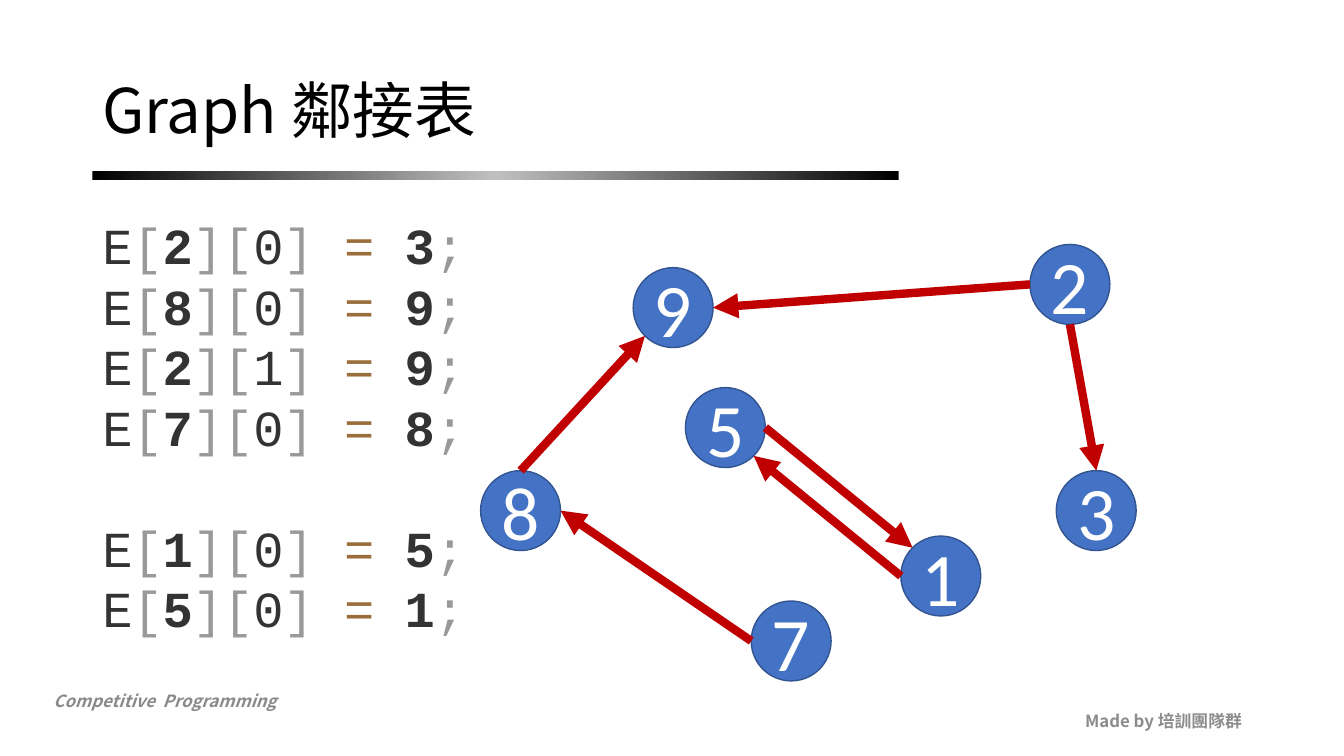
import copy
import math

import lxml.etree
import pptx
import pptx.dml.color
import pptx.enum.shapes
import pptx.enum.text
import pptx.oxml.ns
import pptx.util

Pt = pptx.util.Pt
Align = pptx.enum.text.PP_ALIGN
Anchor = pptx.enum.text.MSO_ANCHOR
qn = pptx.oxml.ns.qn

# Content
TITLE = "Graph 鄰接表"
COURSE = "Competitive  Programming"
CREDIT = "Made by 培訓團隊群"
TEXT_FONT, CODE_FONT, NODE_FONT = "Noto Sans CJK SC", "Courier New", "Calibri"

# Adjacency list entries, grouped: (node, index, neighbour)
ENTRY_GROUPS = [
    [(2, 0, 3), (8, 0, 9), (2, 1, 9), (7, 0, 8)],
    [(1, 0, 5), (5, 0, 1)],
]
CODE_DARK, CODE_GREY, CODE_BROWN = "333333", "999999", "9A6E3A"
CODE_PITCH = 43.2

# Node label: left and top of its circle
NODES = {
    8: (343.3, 336.2), 7: (536.6, 429.3), 9: (452.3, 191.2), 2: (735.7, 174.6),
    3: (754.5, 336.2), 5: (489.6, 276.9), 1: (643.5, 382.9),
}
DIAMETER = 57.1

# Directions on a circle, in degrees clockwise from the right
RIGHT, LOWER_RIGHT, BOTTOM, LOWER_LEFT, LEFT, UPPER_LEFT, TOP = range(0, 271, 45)
EDGES = [
    (7, LEFT, 8, RIGHT), (8, TOP, 9, LOWER_LEFT), (2, LEFT, 9, RIGHT),
    (2, BOTTOM, 3, TOP), (1, LEFT, 5, LOWER_RIGHT), (5, RIGHT, 1, UPPER_LEFT),
]


def color(hex_code):
    return pptx.dml.color.RGBColor.from_string(hex_code)


def style(font, name, size, hex_code, bold=False, italic=False):
    font.name, font.size = name, Pt(size)
    font.bold, font.italic = bold, italic
    font.color.rgb = color(hex_code)


def add_text_box(slide, left, top, width, height, anchor=Anchor.TOP):
    box = slide.shapes.add_textbox(Pt(left), Pt(top), Pt(width), Pt(height))
    box.text_frame.word_wrap = True
    box.text_frame.vertical_anchor = anchor
    return box.text_frame


def add_label(slide, text, area, size, hex_code, anchor=Anchor.MIDDLE,
              align=Align.LEFT, bold=False, italic=False):
    paragraph = add_text_box(slide, *area, anchor).paragraphs[0]
    run = paragraph.add_run()
    run.text = text
    paragraph.alignment = align
    style(run.font, TEXT_FONT, size, hex_code, bold, italic)
    # Chinese characters take the East Asian font
    east_asian = lxml.etree.SubElement(run.font._element, qn("a:ea"))
    east_asian.set("typeface", TEXT_FONT)
    return paragraph


def add_rule(slide):
    rule = slide.shapes.add_shape(
        pptx.enum.shapes.MSO_SHAPE.RECTANGLE, Pt(66), Pt(122.4), Pt(576), Pt(6.5))
    rule.shadow.inherit = False
    rule.line.fill.background()
    rule.fill.gradient()
    rule.fill.gradient_angle = 0
    # Black ends with a silver middle stop
    first = rule.fill._xPr.find(".//" + qn("a:gs"))
    first.addnext(copy.deepcopy(first))
    stops = [(0, "000000"), (0.5, "C0C0C0"), (1, "000000")]
    for stop, (position, hex_code) in zip(rule.fill.gradient_stops, stops):
        stop.position = position
        stop.color.rgb = color(hex_code)


def add_code(slide):
    frame = add_text_box(slide, 66, 144, 828, 342.7)
    frame.margin_top = Pt(9.3)
    paragraph = frame.paragraphs[0]
    for group_number, group in enumerate(ENTRY_GROUPS):
        for line_number, (node, index, neighbour) in enumerate(group):
            if group_number or line_number:
                paragraph = frame.add_paragraph()
            paragraph.line_spacing = Pt(CODE_PITCH)
            if group_number and not line_number:
                paragraph.space_before = Pt(CODE_PITCH)
            tokens = [
                ("E", CODE_DARK, False), ("[", CODE_GREY, False),
                (str(node), CODE_DARK, True), ("][", CODE_GREY, False),
                (str(index), CODE_DARK, False), ("] ", CODE_GREY, False),
                ("= ", CODE_BROWN, False), (str(neighbour), CODE_DARK, True),
                (";", CODE_GREY, False),
            ]
            for text, hex_code, bold in tokens:
                run = paragraph.add_run()
                run.text = text
                style(run.font, CODE_FONT, 36, hex_code, bold)


def add_node(slide, label, left, top):
    circle = slide.shapes.add_shape(
        pptx.enum.shapes.MSO_SHAPE.OVAL, Pt(left), Pt(top), Pt(DIAMETER), Pt(DIAMETER))
    circle.shadow.inherit = False
    circle.fill.solid()
    circle.fill.fore_color.rgb = color("4472C4")
    circle.line.color.rgb = color("325491")
    circle.line.width = Pt(1)
    frame = circle.text_frame
    frame.word_wrap = False
    frame.vertical_anchor = Anchor.MIDDLE
    paragraph = frame.paragraphs[0]
    paragraph.text = str(label)
    paragraph.alignment = Align.CENTER
    style(paragraph.font, NODE_FONT, 54, "FFFFFF")


def rim_point(label, degrees):
    left, top = NODES[label]
    radius, angle = DIAMETER / 2, math.radians(degrees)
    return (Pt(left + radius * (1 + math.cos(angle))),
            Pt(top + radius * (1 + math.sin(angle))))


def add_edge(slide, source, source_side, target, target_side):
    edge = slide.shapes.add_connector(
        pptx.enum.shapes.MSO_CONNECTOR.STRAIGHT,
        *rim_point(source, source_side), *rim_point(target, target_side))
    edge.line.color.rgb = color("C00000")
    edge.line.width = Pt(6)
    arrowhead = lxml.etree.SubElement(edge.line._get_or_add_ln(), qn("a:tailEnd"))
    arrowhead.set("type", "triangle")
    lxml.etree.SubElement(edge._element.spPr, qn("a:effectLst"))


def main():
    presentation = pptx.Presentation()
    presentation.slide_width, presentation.slide_height = Pt(960), Pt(540)
    slide = presentation.slides.add_slide(presentation.slide_layouts[6])

    # Footer, title and rule
    add_label(slide, COURSE, (31, 489.6, 306, 21.6), 12, "898989",
              anchor=Anchor.TOP, bold=True, italic=True)
    add_label(slide, CREDIT, (678.2, 500.4, 216, 28.8), 12, "8C8C8C",
              align=Align.RIGHT, bold=True)
    add_rule(slide)
    title = add_label(slide, TITLE, (66, 28.8, 828, 104.4), 44, "000000")
    title.line_spacing = 0.9

    # Code and graph
    add_code(slide)
    for label, (left, top) in NODES.items():
        add_node(slide, label, left, top)
    for edge in EDGES:
        add_edge(slide, *edge)

    presentation.save("out.pptx")


if __name__ == "__main__":
    main()
